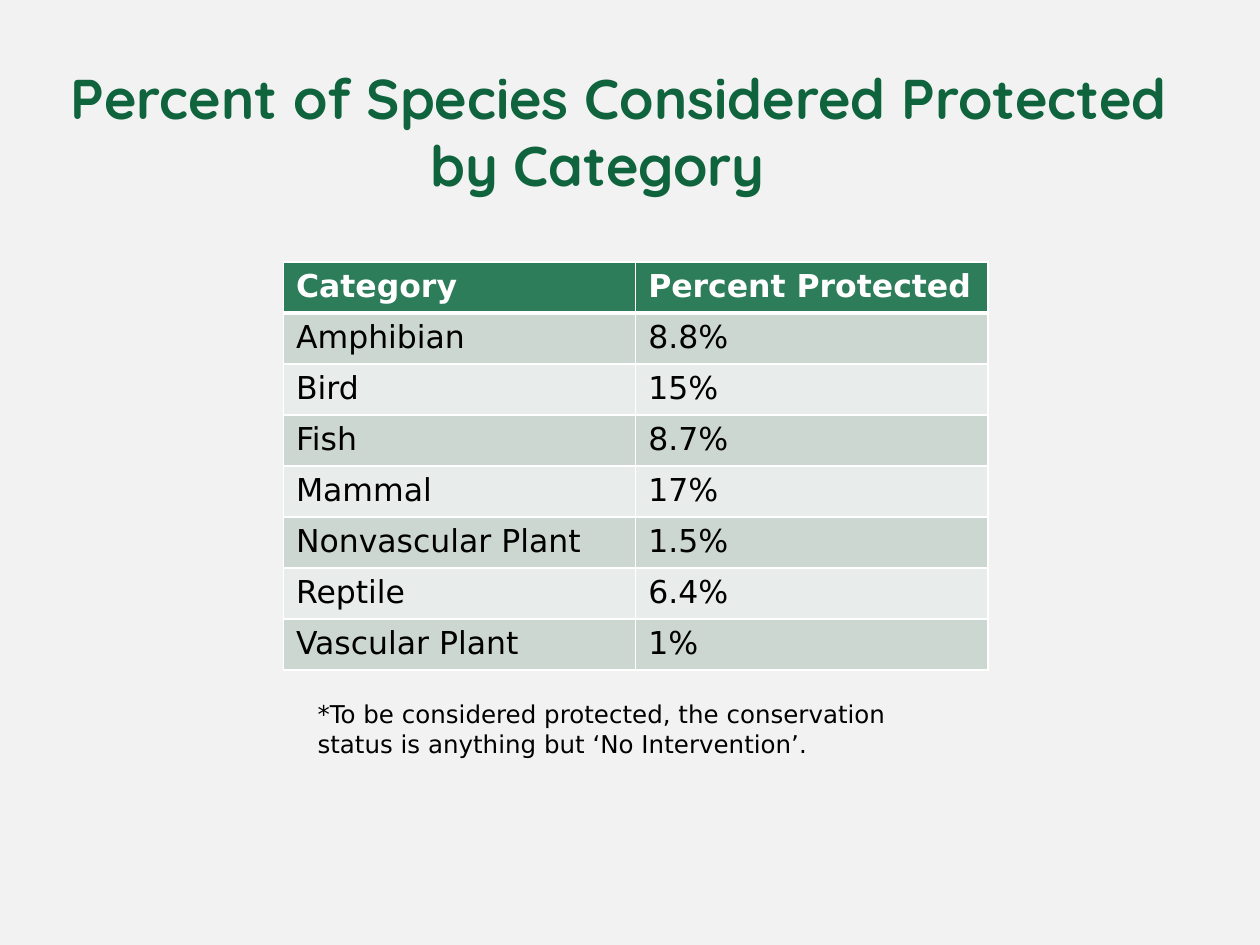
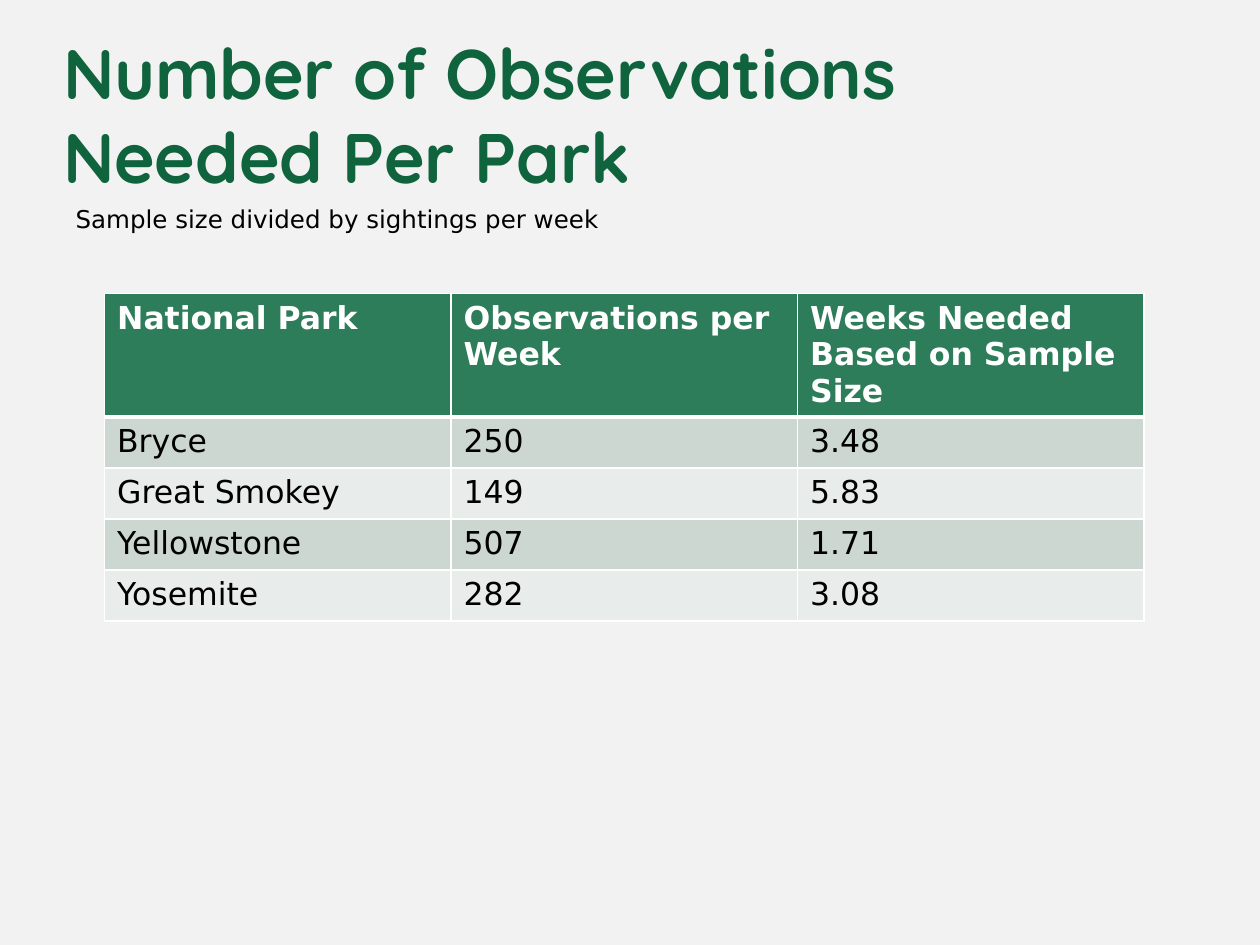
"""Builds two slides of tables about protected species and park sightings."""
import pptx
import pptx.dml.color
import pptx.enum.text
import pptx.oxml
import pptx.oxml.ns
import pptx.util
from pptx.util import Inches

SANS = "DejaVu Sans"
ROUND = "Quicksand"
PAPER = "F2F2F2"
GREEN = "0F633D"
HEAD = "2D7C5A"
BANDS = ("CDD7D2", "E8ECEA")
WHITE = "FFFFFF"
BLACK = "000000"
ROW = 0.405
ALIGN = pptx.enum.text.PP_ALIGN
ANCHOR = pptx.enum.text.MSO_ANCHOR

SPECIES = [
    ("Category", "Percent Protected"),
    ("Amphibian", "8.8%"),
    ("Bird", "15%"),
    ("Fish", "8.7%"),
    ("Mammal", "17%"),
    ("Nonvascular Plant", "1.5%"),
    ("Reptile", "6.4%"),
    ("Vascular Plant", "1%"),
]
PARKS = [
    ("National Park", "Observations per Week", "Weeks Needed Based on Sample Size"),
    ("Bryce", "250", "3.48"),
    ("Great Smokey", "149", "5.83"),
    ("Yellowstone", "507", "1.71"),
    ("Yosemite", "282", "3.08"),
]


def paint(fill, tone):
    fill.solid()
    fill.fore_color.rgb = pptx.dml.color.RGBColor.from_string(tone)


def add_run(para, text, size, face, tone, bold=False):
    run = para.add_run()
    run.text = text
    font = run.font
    font.size = pptx.util.Pt(size)
    font.name = face
    font.bold = bold
    paint(font.fill, tone)


def place(shape, left, top, width, height):
    shape.left, shape.top = Inches(left), Inches(top)
    shape.width, shape.height = Inches(width), Inches(height)
    frame = shape.text_frame
    frame.word_wrap = True
    frame.auto_size = pptx.enum.text.MSO_AUTO_SIZE.NONE
    return frame


def set_title(slide, runs, width, align):
    frame = place(slide.shapes.title, 0.5, 0.3, width, 1.27)
    frame.vertical_anchor = ANCHOR.BOTTOM
    frame.margin_left = frame.margin_top = 0
    frame.margin_right = frame.margin_bottom = 0
    para = frame.paragraphs[0]
    para.alignment = align
    for text, size in runs:
        add_run(para, text, size, ROUND, GREEN, True)


def set_note(slide, text, *box):
    para = place(slide.placeholders[1], *box).paragraphs[0]
    props = para._p.get_or_add_pPr()
    props.set("marL", "0")
    props.set("indent", "0")
    pptx.oxml.ns.qn("a:buNone")
    props.append(pptx.oxml.parse_xml(
        f'<a:buNone {pptx.oxml.ns.nsdecls("a")}/>'))
    para.space_before = pptx.util.Pt(0)
    add_run(para, text, 14, SANS, BLACK)


def add_edges(cell, top, base):
    props = cell._tc.get_or_add_tcPr()
    for side, width in (("L", 1), ("R", 1), ("T", top), ("B", base)):
        props.append(pptx.oxml.parse_xml(
            f'<a:ln{side} {pptx.oxml.ns.nsdecls("a")} w="{pptx.util.Pt(width)}">'
            f'<a:solidFill><a:srgbClr val="{WHITE}"/></a:solidFill></a:ln{side}>'))


def add_grid(slide, rows, left, top, width, head=ROW):
    count = len(rows[0])
    height = head + ROW * (len(rows) - 1)
    grid = slide.shapes.add_table(
        len(rows), count, Inches(left), Inches(top),
        Inches(width), Inches(height)).table
    grid.horz_banding = False
    for col in grid.columns:
        col.width = Inches(width / count)
    for i, row in enumerate(rows):
        first = i == 0
        grid.rows[i].height = Inches(head if first else ROW)
        for j, text in enumerate(row):
            cell = grid.cell(i, j)
            add_edges(cell, 3 if i == 1 else 1, 3 if first else 1)
            paint(cell.fill, HEAD if first else BANDS[(i - 1) % 2])
            add_run(cell.text_frame.paragraphs[0], text, 18, SANS,
                    WHITE if first else BLACK, first)


def main():
    deck = pptx.Presentation()
    deck.slide_width, deck.slide_height = Inches(10), Inches(7.5)
    paint(deck.slide_master.background.fill, PAPER)
    layout = deck.slide_layouts[1]

    slide = deck.slides.add_slide(layout)
    set_title(slide, [("Percent of Species Considered Protected by Category", 32),
                      ("\t", 20)], 8.83, ALIGN.CENTER)
    add_grid(slide, SPECIES, 2.25, 2.08, 5.59)
    set_note(slide, "*To be considered protected, the conservation status is "
             "anything but ‘No Intervention’.", 2.42, 5.5, 5.08, 1.17)

    slide = deck.slides.add_slide(layout)
    set_title(slide, [("Number of Observations Needed Per Park", 40)],
              8.75, ALIGN.LEFT)
    add_grid(slide, PARKS, 0.83, 2.33, 8.25, 0.98)
    set_note(slide, "Sample size divided by sightings per week",
             0.5, 1.57, 9.17, 1.26)

    deck.save("out.pptx")


if __name__ == "__main__":
    main()
